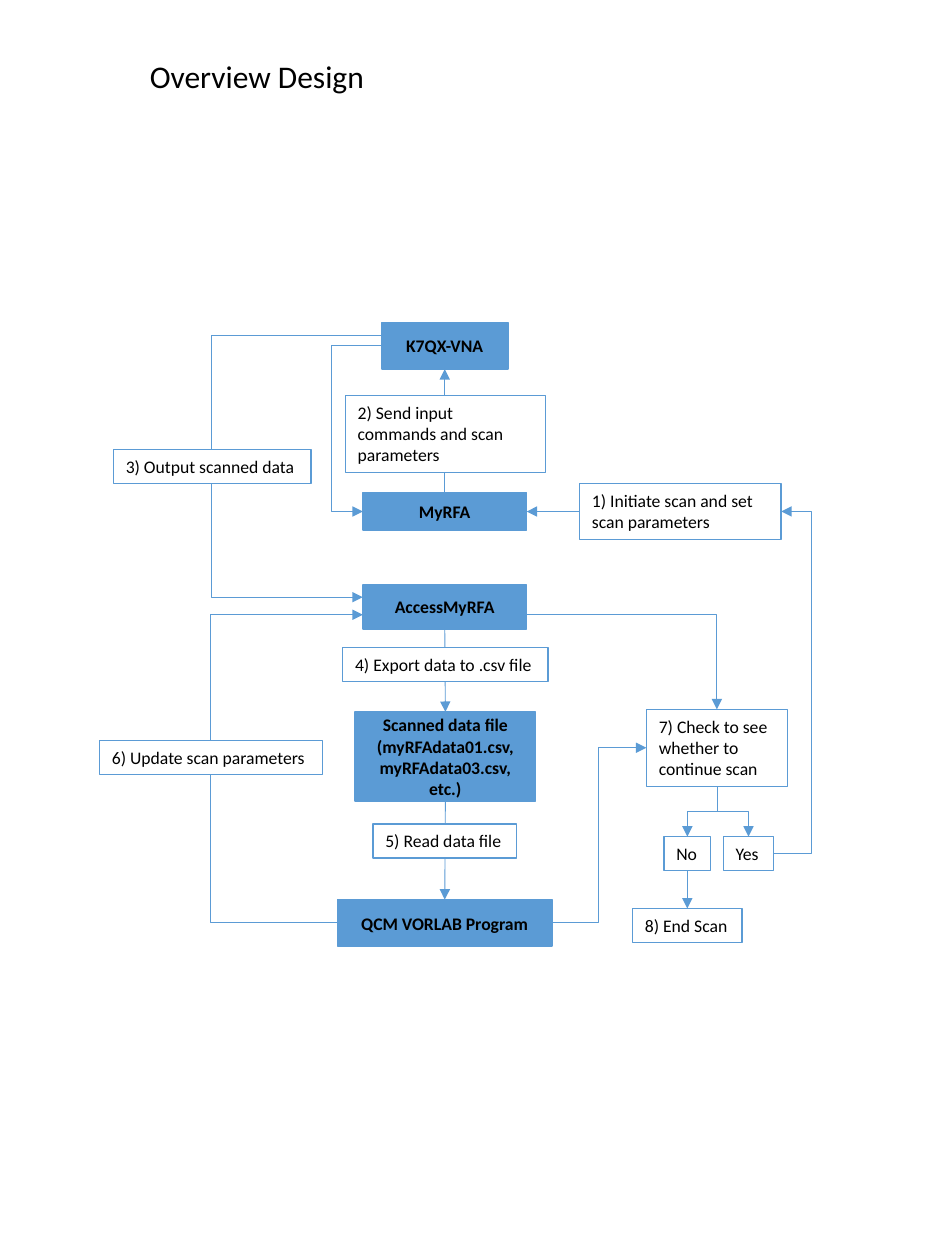
from dataclasses import dataclass
from typing import NamedTuple, Optional, Union

from lxml import etree
from pptx import Presentation
from pptx import util as u
from pptx.dml.color import RGBColor
from pptx.enum import shapes, text
from pptx.oxml import ns
from pptx.shapes import autoshape, connector, shapetree

TOP, LEFT, BOTTOM, RIGHT = range(4)


@dataclass(frozen=True)
class Theme:
    """Colours, font and sizes of the slide."""
    accent: RGBColor = RGBColor(0x5B, 0x9B, 0xD5)
    paper: RGBColor = RGBColor(0xFF, 0xFF, 0xFF)
    ink: RGBColor = RGBColor(0, 0, 0)
    font: str = "Calibri"
    title_size: float = 18
    body_size: float = 10.1
    block_line: float = 1
    step_line: float = 0.75
    link_line: float = 0.5


class Box(NamedTuple):
    """A rectangle with its text; blocks are filled, steps are outlined."""
    name: str
    left: float
    top: float
    width: float
    height: float
    words: str
    wrap: bool = True


class Site(NamedTuple):
    """The middle of one side of a named box."""
    name: str
    side: int


class Point(NamedTuple):
    """A free position on the slide."""
    x: float
    y: float


class Elbow(NamedTuple):
    """A bent link; via is the x of its upright part, or None for one corner."""
    begin: Union[Site, Point]
    end: Union[Site, Point]
    via: Optional[float]


THEME = Theme()
LINE_HEIGHT = 0.27

BLOCKS = [
    Box("analyzer", 3.03, 2.56, 1, 0.37, "K7QX-VNA"),
    Box("control", 2.88, 3.91, 1.3, 0.3, "MyRFA"),
    Box("access", 2.88, 4.64, 1.3, 0.35, "AccessMyRFA"),
    Box("file", 2.82, 5.65, 1.43, 0.71,
        "Scanned data file\n(myRFAdata01.csv, myRFAdata03.csv, etc.)"),
    Box("program", 2.68, 7.14, 1.7, 0.37, "QCM VORLAB Program"),
]
STEPS = [
    Box("initiate", 4.6, 3.84, 1.6, 0.44, "1) Initiate scan and set scan parameters"),
    Box("check", 5.13, 5.63, 1.12, 0.61, "7) Check to see whether to continue scan"),
    Box("yes", 5.74, 6.64, 0.4, LINE_HEIGHT, "Yes", False),
    Box("no", 5.27, 6.64, 0.37, LINE_HEIGHT, "No", False),
    Box("finish", 5.02, 7.21, 0.87, LINE_HEIGHT, "8) End Scan", False),
]
CAPTIONS = [
    Box("send", 2.74, 3.14, 1.59, 0.61, "2) Send input commands and scan parameters"),
    Box("output", 0.9, 3.57, 1.57, LINE_HEIGHT, "3) Output scanned data", False),
    Box("export", 2.72, 5.14, 1.63, LINE_HEIGHT, "4) Export data to .csv file", False),
    Box("read", 2.96, 6.54, 1.14, LINE_HEIGHT, "5) Read data file", False),
    Box("update", 0.79, 5.88, 1.77, LINE_HEIGHT, "6) Update scan parameters", False),
]
STRAIGHTS = [
    (Site("control", TOP), Site("analyzer", BOTTOM)),
    (Site("access", BOTTOM), Site("file", TOP)),
    (Site("file", BOTTOM), Site("program", TOP)),
    (Site("no", BOTTOM), Site("finish", TOP)),
    (Site("initiate", LEFT), Site("control", RIGHT)),
]
ELBOWS = [
    Elbow(Site("analyzer", LEFT), Site("control", LEFT), 2.63),
    Elbow(Point(3.03, 2.66), Point(2.88, 4.74), 1.68),
    Elbow(Site("program", LEFT), Point(2.88, 4.88), 1.67),
    Elbow(Point(4.18, 4.88), Site("check", TOP), None),
    Elbow(Site("program", RIGHT), Site("check", LEFT), 4.75),
    Elbow(Site("yes", RIGHT), Site("initiate", RIGHT), 6.44),
]
BRANCHES = [(Site("check", BOTTOM), Site(name, TOP)) for name in ("no", "yes")]


def write(shape: autoshape.Shape, words: str, size: float, bold: bool = False,
          align: text.PP_ALIGN = text.PP_ALIGN.LEFT) -> None:
    """Fill a shape with text in the theme's font."""
    shape.text_frame.text = words
    for para in shape.text_frame.paragraphs:
        para.alignment = align
        for span in para.runs:
            span.font.name, span.font.size, span.font.bold = THEME.font, u.Pt(size), bold
            span.font.color.rgb = THEME.ink


def outline(shape: autoshape.Shape, fill: RGBColor, width: float) -> None:
    """Give a shape its fill and accent border."""
    shape.fill.solid()
    shape.fill.fore_color.rgb = fill
    shape.line.color.rgb = THEME.accent
    shape.line.width = u.Pt(width)


def add_block(tree: shapetree.SlideShapes, box: Box) -> autoshape.Shape:
    """Draw a filled block with bold centred text."""
    shape = tree.add_shape(shapes.MSO_SHAPE.RECTANGLE, *map(u.Inches, box[1:5]))
    shape.shadow.inherit = False
    outline(shape, THEME.accent, THEME.block_line)
    write(shape, box.words, THEME.body_size, True, text.PP_ALIGN.CENTER)
    shape.text_frame.vertical_anchor = text.MSO_ANCHOR.MIDDLE
    return shape


def add_label(tree: shapetree.SlideShapes, box: Box, size: float) -> autoshape.Shape:
    """Draw a text box that grows with its text."""
    shape = tree.add_textbox(*map(u.Inches, box[1:5]))
    write(shape, box.words, size)
    shape.text_frame.word_wrap = box.wrap
    shape.text_frame.auto_size = text.MSO_AUTO_SIZE.SHAPE_TO_FIT_TEXT
    return shape


def add_step(tree: shapetree.SlideShapes, box: Box) -> autoshape.Shape:
    """Draw an outlined step."""
    shape = add_label(tree, box, THEME.body_size)
    outline(shape, THEME.paper, THEME.step_line)
    return shape


def add_link(tree: shapetree.SlideShapes, boxes: dict[str, autoshape.Shape],
             kind: shapes.MSO_CONNECTOR, begin: Union[Site, Point],
             end: Union[Site, Point]) -> connector.Connector:
    """Draw an arrow between two sites or points."""
    start, stop = (spot if isinstance(spot, Point) else Point(0, 0) for spot in (begin, end))
    link = tree.add_connector(kind, *map(u.Inches, (*start, *stop)))
    if isinstance(begin, Site):
        link.begin_connect(boxes[begin.name], begin.side)
    if isinstance(end, Site):
        link.end_connect(boxes[end.name], end.side)
    link.line.color.rgb = THEME.accent
    link.line.width = u.Pt(THEME.link_line)
    properties = link._element.spPr
    etree.SubElement(properties.find(ns.qn("a:ln")), ns.qn("a:tailEnd"), type="triangle")
    etree.SubElement(properties, ns.qn("a:effectLst"))
    return link


def bend(link: connector.Connector, via: Optional[float]) -> None:
    """Place the upright part of a bent link, or give it a single corner."""
    geometry = link._element.spPr.prstGeom
    if via is None:
        geometry.set("prst", "bentConnector2")
        return
    share = (u.Inches(via) - link.begin_x) / (link.end_x - link.begin_x)
    geometry.rewrite_guides([("adj1", round(share * 100000))])


def turn_down(link: connector.Connector) -> None:
    """Turn a bent link so that it leaves its start downwards."""
    rightward = link.end_x > link.begin_x
    centre_x, centre_y = link.left + link.width // 2, link.top + link.height // 2
    link.width, link.height = link.height, link.width
    link.left, link.top = centre_x - link.width // 2, centre_y - link.height // 2
    frame = link._element.spPr.xfrm
    frame.set("rot", str((270 if rightward else 90) * 60000))
    frame.set("flipH", str(int(rightward)))
    frame.set("flipV", "0")


def main() -> None:
    """Build and save the slide."""
    deck = Presentation()
    deck.slide_width, deck.slide_height = u.Inches(7.5), u.Inches(10)
    page = deck.slides.add_slide(deck.slide_layouts[6])
    tree = page.shapes
    add_label(tree, Box("title", 1.09, 0.4, 5.65, 0.4, "Overview Design"), THEME.title_size)
    boxes = {box.name: add_block(tree, box) for box in BLOCKS}
    boxes |= {box.name: add_step(tree, box) for box in STEPS}
    for begin, end in STRAIGHTS:
        add_link(tree, boxes, shapes.MSO_CONNECTOR.STRAIGHT, begin, end)
    for elbow in ELBOWS:
        bend(add_link(tree, boxes, shapes.MSO_CONNECTOR.ELBOW, elbow.begin, elbow.end), elbow.via)
    for begin, end in BRANCHES:
        turn_down(add_link(tree, boxes, shapes.MSO_CONNECTOR.ELBOW, begin, end))
    for box in CAPTIONS:
        add_step(tree, box)
    deck.save("out.pptx")


if __name__ == "__main__":
    main()
